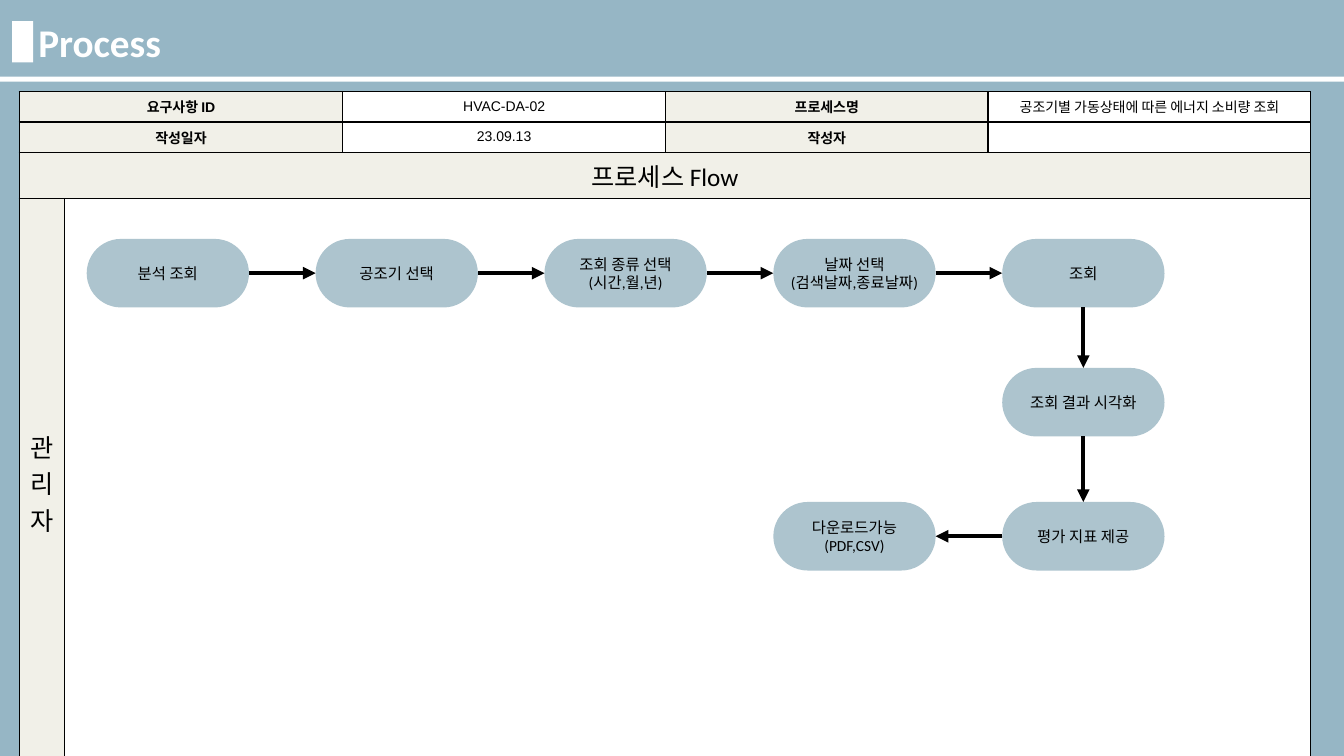
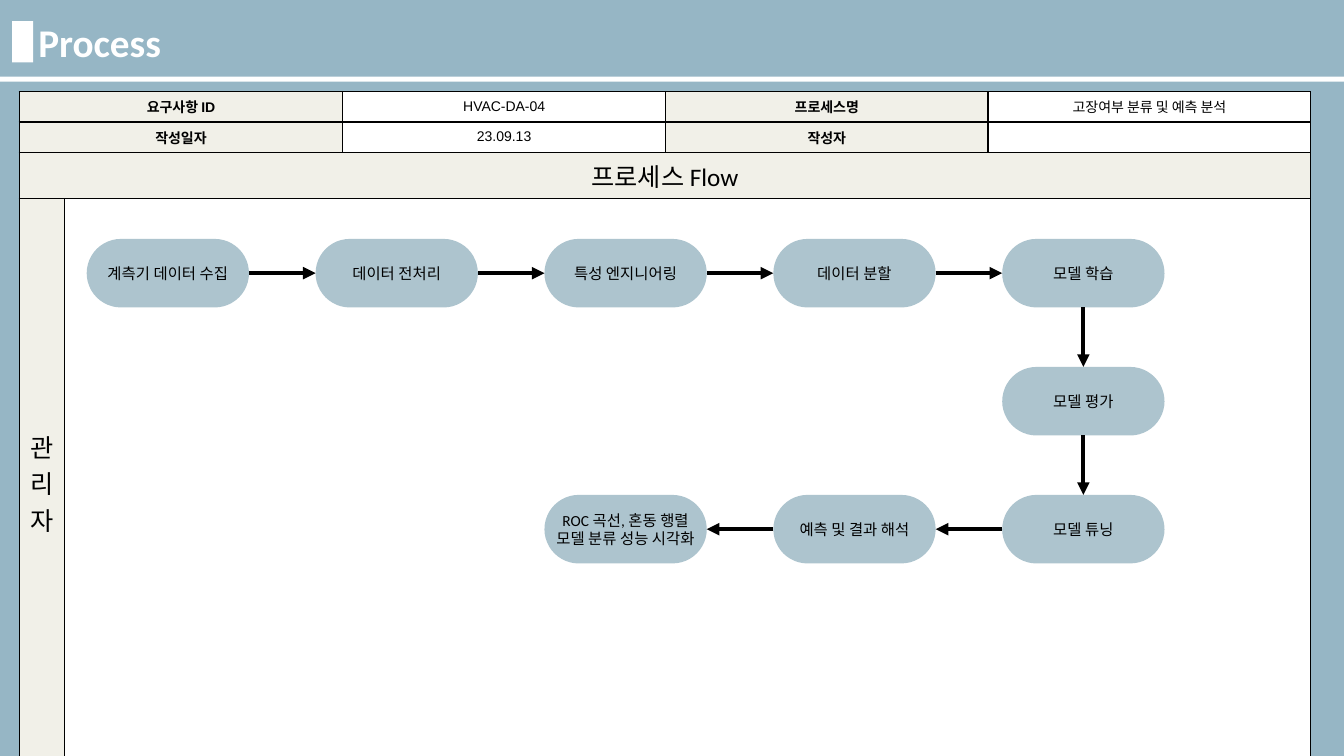
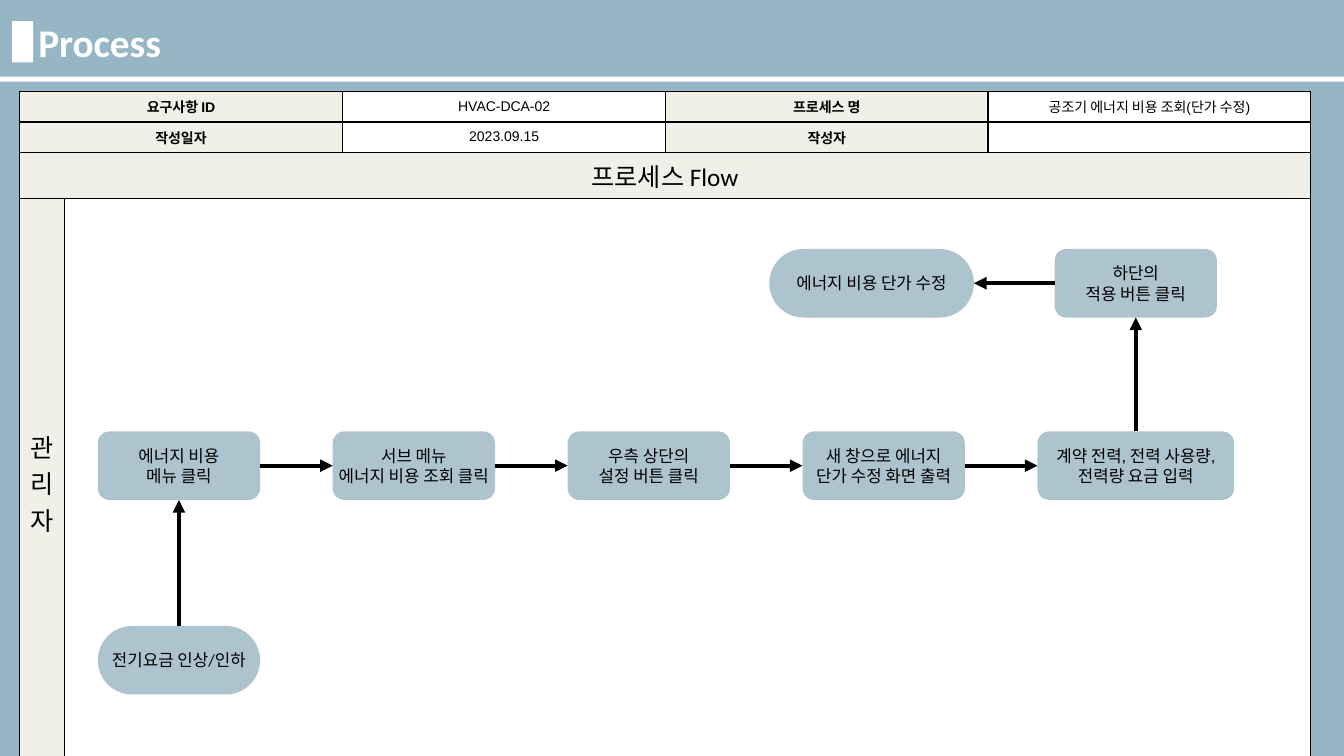
"""Build three process-flow slides for an HVAC analysis system."""
import pptx
import pptx.util
import pptx.dml.color
import pptx.enum.shapes
import pptx.enum.text
import pptx.oxml
import pptx.oxml.ns

Inches, Pt = pptx.util.Inches, pptx.util.Pt
SHAPE = pptx.enum.shapes.MSO_SHAPE
ALIGN = pptx.enum.text.PP_ALIGN
ANCHOR = pptx.enum.text.MSO_ANCHOR

BACK, NODE, LABEL, WHITE, BLACK = "96B6C5", "ADC4CE", "F1F0E8", "FFFFFF", "000000"
TITLE = "Process"
BARS = [(0.12, 0.21, 0.21, 0.41), (0, 0.76, 13.33, 0.05)]
COL_WIDTHS = [0.45, 2.76, 3.2, 3.2, 3.2]
ROW_HEIGHTS = [0.3, 0.3, 0.46, 5.63]
NODE_W, NODE_H = 1.61, 0.68
PILL, BOX = 0.5, 0.17
TOP, LEFT, BOTTOM, RIGHT = range(4)

SLIDES = [
    {
        "id": "HVAC-DA-02", "date": "23.09.13", "name_label": "프로세스명",
        "name": "공조기별 가동상태에 따른 에너지 소비량 조회",
        "left": 0.86, "pitch": 2.27, "tops": [2.37, 3.65, 4.98], "size": 11,
        "nodes": [
            (0, 0, "분석 조회", {}),
            (1, 0, "공조기 선택", {}),
            (2, 0, "조회 종류 선택\n(시간,월,년)", {}),
            (3, 0, "날짜 선택\n(검색날짜,종료날짜)", {}),
            (4, 0, "조회", {}),
            (4, 1, "조회 결과 시각화", {}),
            (4, 2, "평가 지표 제공", {}),
            (3, 2, "다운로드가능\n(PDF,CSV)", {}),
        ],
    },
    {
        "id": "HVAC-DA-04", "date": "23.09.13", "name_label": "프로세스명",
        "name": "고장여부 분류 및 예측 분석",
        "left": 0.86, "pitch": 2.27, "tops": [2.37, 3.64, 4.91], "size": 11,
        "nodes": [
            (0, 0, "계측기 데이터 수집", {}),
            (1, 0, "데이터 전처리", {}),
            (2, 0, "특성 엔지니어링", {}),
            (3, 0, "데이터 분할", {}),
            (4, 0, "모델 학습", {}),
            (4, 1, "모델 평가", {}),
            (4, 2, "모델 튜닝", {}),
            (3, 2, "예측 및 결과 해석", {}),
            (2, 2, "ROC 곡선, 혼동 행렬\n모델 분류 성능 시각화", {}),
        ],
    },
    {
        "id": "HVAC-DCA-02", "date": "2023.09.15", "name_label": "프로세스 명",
        "name": "공조기 에너지 비용 조회(단가 수정)",
        "left": 0.97, "pitch": 2.33, "tops": [2.47, 4.28, 6.21], "size": 12,
        "nodes": [
            (0, 2, "전기요금 인상/인하", {}),
            (0, 1, "에너지 비용\n메뉴 클릭", {"round": BOX}),
            (1, 1, "서브 메뉴\n에너지 비용 조회 클릭", {"round": BOX}),
            (2, 1, "우측 상단의\n설정 버튼 클릭", {"round": BOX}),
            (3, 1, "새 창으로 에너지\n단가 수정 화면 출력", {"round": BOX}),
            (4, 1, "계약 전력, 전력 사용량,\n전력량 요금 입력", {"round": BOX, "width": 1.95}),
            (4, 0, "하단의\n적용 버튼 클릭", {"round": BOX, "shift": 0.17}),
            (3, 0, "에너지 비용 단가 수정", {"width": 2.03, "shift": -0.33}),
        ],
    },
]


def rgb(color):
    """Turn a hex string into a colour."""
    return pptx.dml.color.RGBColor.from_string(color)


def paint(target, color):
    """Give a shape, cell or background a solid fill."""
    target.fill.solid()
    target.fill.fore_color.rgb = rgb(color)


def write(tf, text, align, color=BLACK, **font):
    """Fill a text frame with equally formatted paragraphs."""
    tf.text = text
    for p in tf.paragraphs:
        p.alignment = align
        for r in p.runs:
            r.font.color.rgb = rgb(color)
            for key, value in font.items():
                setattr(r.font, key, value)


def add_shape(s, kind, box, color):
    """Add a flat shape without outline."""
    sp = s.shapes.add_shape(kind, *map(Inches, box))
    sp.shadow.inherit = False
    sp.line.fill.background()
    paint(sp, color)
    return sp


def add_title(s):
    """Format the title and add the bars beside and below it."""
    sp = s.shapes.title
    sp.left, sp.top, sp.width, sp.height = map(Inches, (0.28, 0.13, 11.97, 0.57))
    sp.text_frame.vertical_anchor = ANCHOR.TOP
    write(sp.text_frame, TITLE, ALIGN.LEFT, WHITE, size=Pt(28), name="Calibri", bold=True)
    for box in BARS:
        add_shape(s, SHAPE.RECTANGLE, box, WHITE)


def add_borders(cell):
    """Draw a thin black line on each side of a cell."""
    for side in "LRTB":
        cell._tc.get_or_add_tcPr().append(pptx.oxml.parse_xml(
            f'<a:ln{side} {pptx.oxml.ns.nsdecls("a")} w="12700"><a:solidFill>'
            f'<a:srgbClr val="{BLACK}"/></a:solidFill></a:ln{side}>'))


def add_form(s, data):
    """Add the table that heads and frames the flow."""
    rows = [
        [(0, 1, "요구사항 ID", LABEL), (2, 2, data["id"], WHITE),
         (3, 3, data["name_label"], LABEL), (4, 4, data["name"], WHITE)],
        [(0, 1, "작성일자", LABEL), (2, 2, data["date"], WHITE),
         (3, 3, "작성자", LABEL), (4, 4, "", WHITE)],
        [(0, 4, "프로세스 Flow", LABEL)],
        [(0, 0, "관리자", LABEL), (1, 4, "", WHITE)],
    ]
    table = s.shapes.add_table(
        len(ROW_HEIGHTS), len(COL_WIDTHS), Inches(0.19), Inches(0.91),
        Inches(sum(COL_WIDTHS)), Inches(sum(ROW_HEIGHTS))).table
    table.first_row = table.horz_banding = False
    for column, width in zip(table.columns, COL_WIDTHS):
        column.width = Inches(width)
    for i, (row, height) in enumerate(zip(rows, ROW_HEIGHTS)):
        table.rows[i].height = Inches(height)
        size, name = (10, "Arial") if i < 2 else (18, "Calibri")
        for first, last, text, color in row:
            for j in range(first, last + 1):
                add_borders(table.cell(i, j))
                paint(table.cell(i, j), color)
            cell = table.cell(i, first)
            if last > first:
                cell.merge(table.cell(i, last))
            cell.vertical_anchor = ANCHOR.MIDDLE
            write(cell.text_frame, text, ALIGN.CENTER, size=Pt(size), name=name,
                  bold=i < 2 and color == LABEL)
            if not text:
                end = cell.text_frame.paragraphs[0]._p.get_or_add_endParaRPr()
                end.set("sz", str(size * 100))


def add_node(s, data, col, row, text, options):
    """Add one step of the flow on its grid place."""
    left = data["left"] + data["pitch"] * col + options.get("shift", 0)
    box = left, data["tops"][row], options.get("width", NODE_W), NODE_H
    sp = add_shape(s, SHAPE.ROUNDED_RECTANGLE, box, NODE)
    sp.adjustments[0] = options.get("round", PILL)
    tf = sp.text_frame
    tf.word_wrap = False
    tf.vertical_anchor = ANCHOR.MIDDLE
    write(tf, text, ALIGN.CENTER, size=Pt(data["size"]), name="Calibri")
    return sp


def add_arrow(s, start, end, sides):
    """Join two steps with an arrow."""
    line = s.shapes.add_connector(pptx.enum.shapes.MSO_CONNECTOR.STRAIGHT, 0, 0, 0, 0)
    line.begin_connect(start, sides[0])
    line.end_connect(end, sides[1])
    line.line.color.rgb = rgb(BLACK)
    line.line.width = Pt(3)
    ns = pptx.oxml.ns.nsdecls("a")
    line.line._get_or_add_ln().append(pptx.oxml.parse_xml(f'<a:tailEnd {ns} type="triangle"/>'))
    line._element.spPr.append(pptx.oxml.parse_xml(f"<a:effectLst {ns}/>"))


def add_flow(s, data):
    """Add all steps and the arrows between neighbours."""
    nodes = data["nodes"]
    shapes = [add_node(s, data, *node) for node in nodes]
    for i in range(len(nodes) - 1):
        (col, row), (next_col, next_row) = nodes[i][:2], nodes[i + 1][:2]
        if row == next_row:
            sides = (RIGHT, LEFT) if next_col > col else (LEFT, RIGHT)
        else:
            sides = (BOTTOM, TOP) if next_row > row else (TOP, BOTTOM)
        add_arrow(s, shapes[i], shapes[i + 1], sides)


def main():
    """Build and save the presentation."""
    prs = pptx.Presentation()
    prs.slide_width, prs.slide_height = Inches(13.33), Inches(7.5)
    paint(prs.slide_master.background, BACK)
    for data in SLIDES:
        s = prs.slides.add_slide(prs.slide_layouts[5])
        add_form(s, data)
        add_title(s)
        add_flow(s, data)
    prs.save("out.pptx")


if __name__ == "__main__":
    main()
